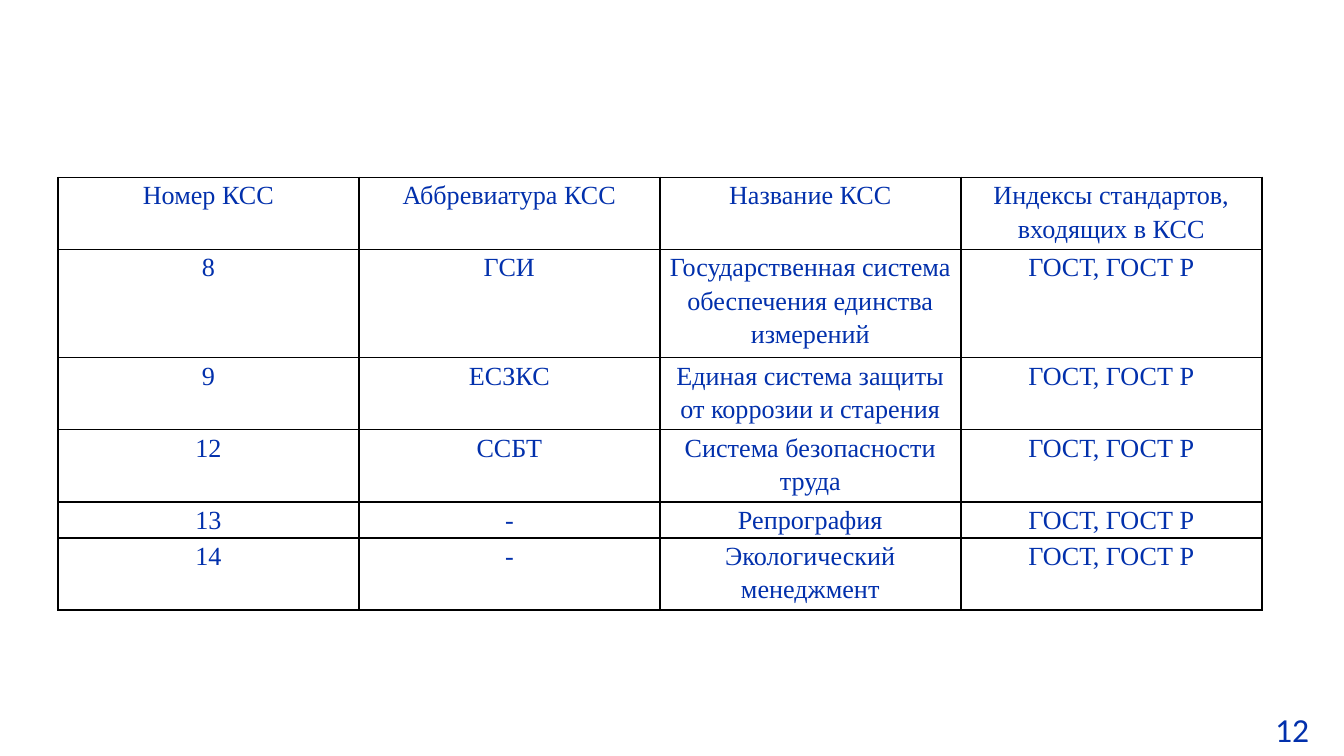
from dataclasses import dataclass

from lxml.etree import SubElement
from pptx import Presentation
from pptx.dml.color import RGBColor as Rgb
from pptx.enum.text import MSO_AUTO_SIZE as AutoSize, PP_ALIGN as Align
from pptx.oxml.ns import qn
from pptx.util import Pt


@dataclass(frozen=True)
class Theme:
    """Colours, fonts and type sizes of the slide."""
    ink: str = "0230AC"
    border: str = "000000"
    table_font: str = "Times New Roman"
    number_font: str = "Calibri"
    table_size: float = 14
    number_size: float = 18
    line_spacing: float = 1.15
    border_width: float = 1


class SlideBuilder:
    """Draws styled elements on the current slide."""

    def __init__(self, slide, theme):
        """Keep the slide and its theme."""
        self.slide = slide
        self.theme = theme

    def style(self, paragraph, font_name, size):
        """Format every run of a paragraph."""
        for run in paragraph.runs:
            run.font.name = font_name
            run.font.size = Pt(size)
            run.font.color.rgb = Rgb.from_string(self.theme.ink)

    def page_number(self, text, left, top, width, height):
        """Add the page number."""
        number = self.slide.shapes.add_textbox(Pt(left), Pt(top), Pt(width), Pt(height))
        frame = number.text_frame
        frame.word_wrap = True
        frame.auto_size = AutoSize.SHAPE_TO_FIT_TEXT
        frame.text = text
        self.style(frame.paragraphs[0], self.theme.number_font, self.theme.number_size)

    def borders(self, cell):
        """Draw a solid line on each side of a cell."""
        properties = cell._tc.get_or_add_tcPr()
        for side in ("a:lnL", "a:lnR", "a:lnT", "a:lnB"):
            line = SubElement(properties, qn(side), w=str(Pt(self.theme.border_width)))
            solid = SubElement(line, qn("a:solidFill"))
            SubElement(solid, qn("a:srgbClr"), val=self.theme.border)

    def cell(self, cell, text):
        """Fill in and format one table cell."""
        cell.margin_left = cell.margin_right = Pt(5)
        cell.margin_top = cell.margin_bottom = 0
        self.borders(cell)
        cell.fill.background()
        cell.text_frame.text = text
        paragraph = cell.text_frame.paragraphs[0]
        paragraph.alignment = Align.CENTER
        paragraph.line_spacing = self.theme.line_spacing
        self.style(paragraph, self.theme.table_font, self.theme.table_size)

    def table(self, rows, line_counts, left, top, width, line_height):
        """Add a table whose row heights follow their line counts."""
        height = sum(line_counts) * line_height
        columns = len(rows[0])
        table = self.slide.shapes.add_table(
            len(rows), columns, Pt(left), Pt(top), Pt(width), Pt(height)).table
        table.first_row = table.horz_banding = False
        for column in table.columns:
            column.width = Pt(width / columns)
        for row, texts, lines in zip(table.rows, rows, line_counts):
            row.height = Pt(lines * line_height)
            for cell, text in zip(row.cells, texts):
                self.cell(cell, text)


def main():
    """Build and save the slide."""
    deck = Presentation()
    deck.slide_width, deck.slide_height = Pt(720), Pt(405)
    builder = SlideBuilder(deck.slides.add_slide(deck.slide_layouts[6]), Theme())

    indexes = "ГОСТ, ГОСТ Р"
    header = ("Номер КСС", "Аббревиатура КСС", "Название КСС",
              "Индексы стандартов, входящих в КСС")
    systems = [
        ("8", "ГСИ", "Государственная система обеспечения единства измерений"),
        ("9", "ЕСЗКС", "Единая система защиты от коррозии и старения"),
        ("12", "ССБТ", "Система безопасности труда"),
        ("13", "-", "Репрография"),
        ("14", "-", "Экологический менеджмент"),
    ]
    rows = [header] + [(*system, indexes) for system in systems]

    builder.page_number("12", 676, 376, 42.5, 29)
    builder.table(rows, (2, 3, 2, 2, 1, 2), left=31, top=95, width=645, line_height=19.3)
    deck.save("out.pptx")


if __name__ == "__main__":
    main()
